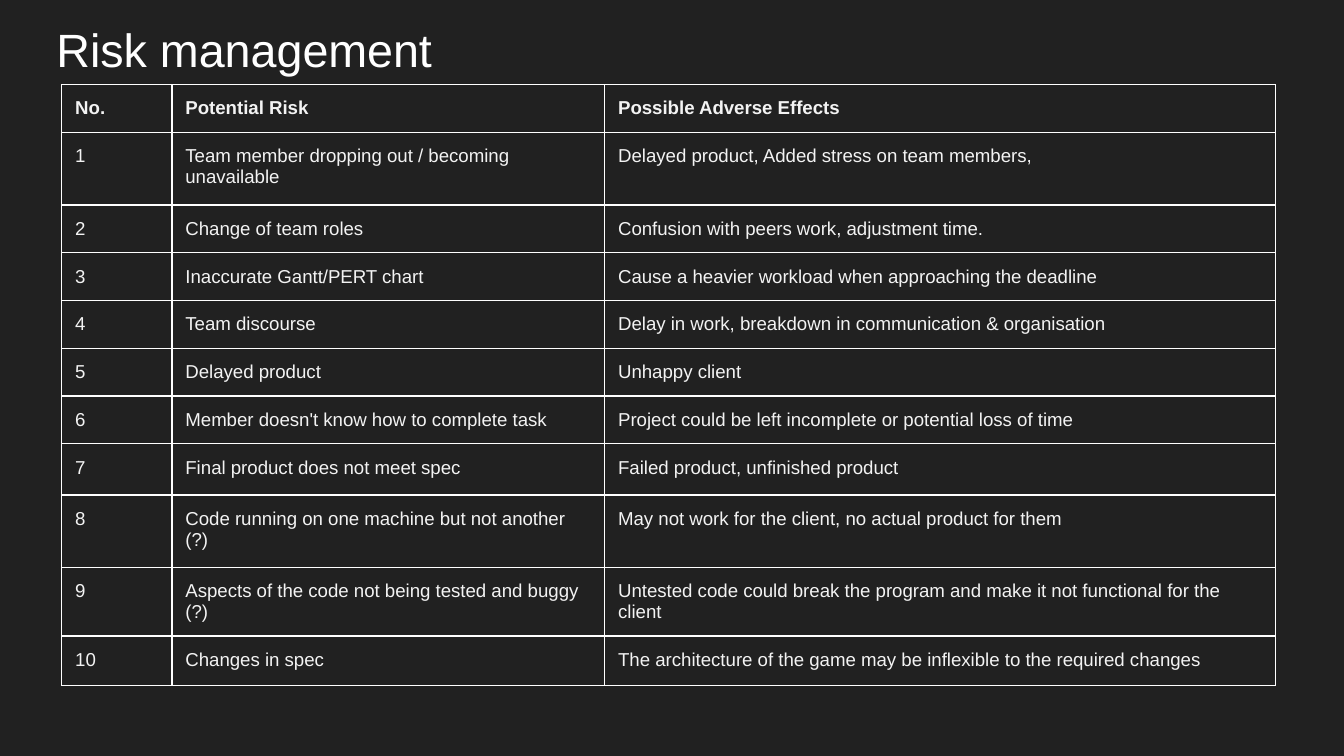
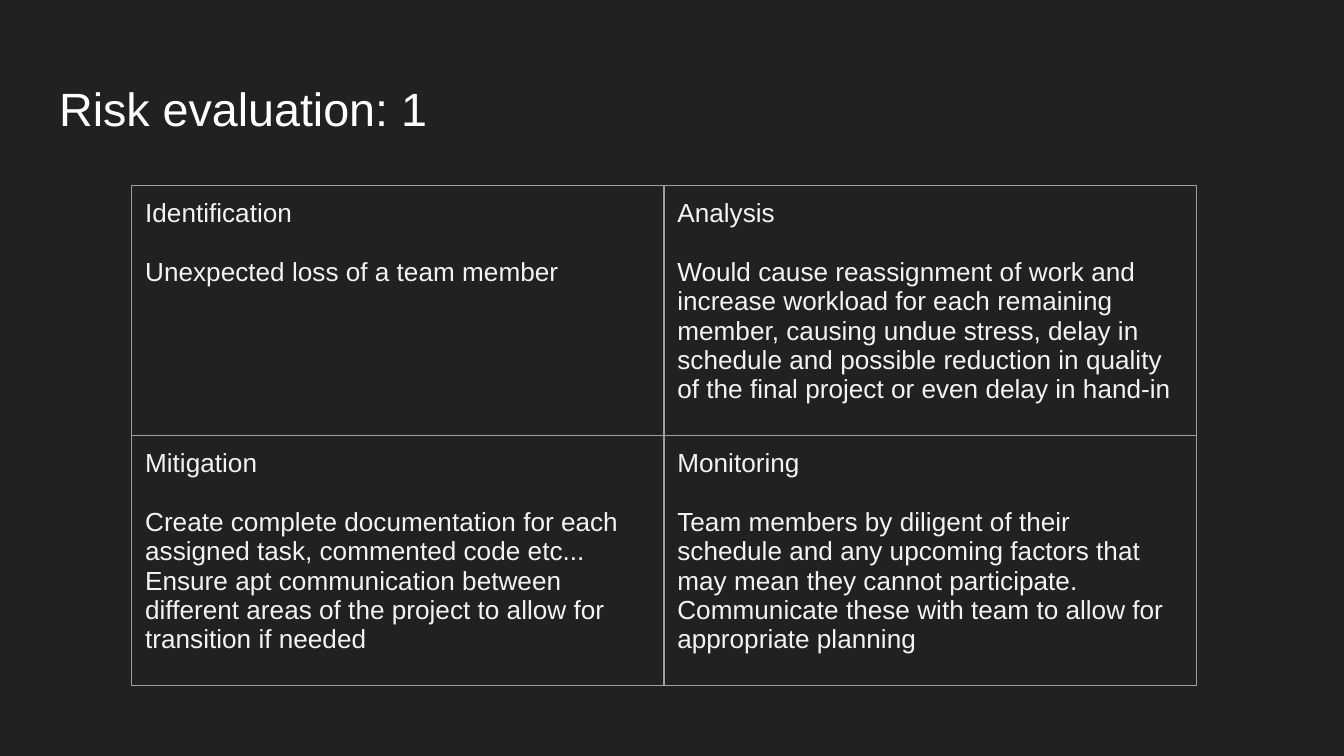
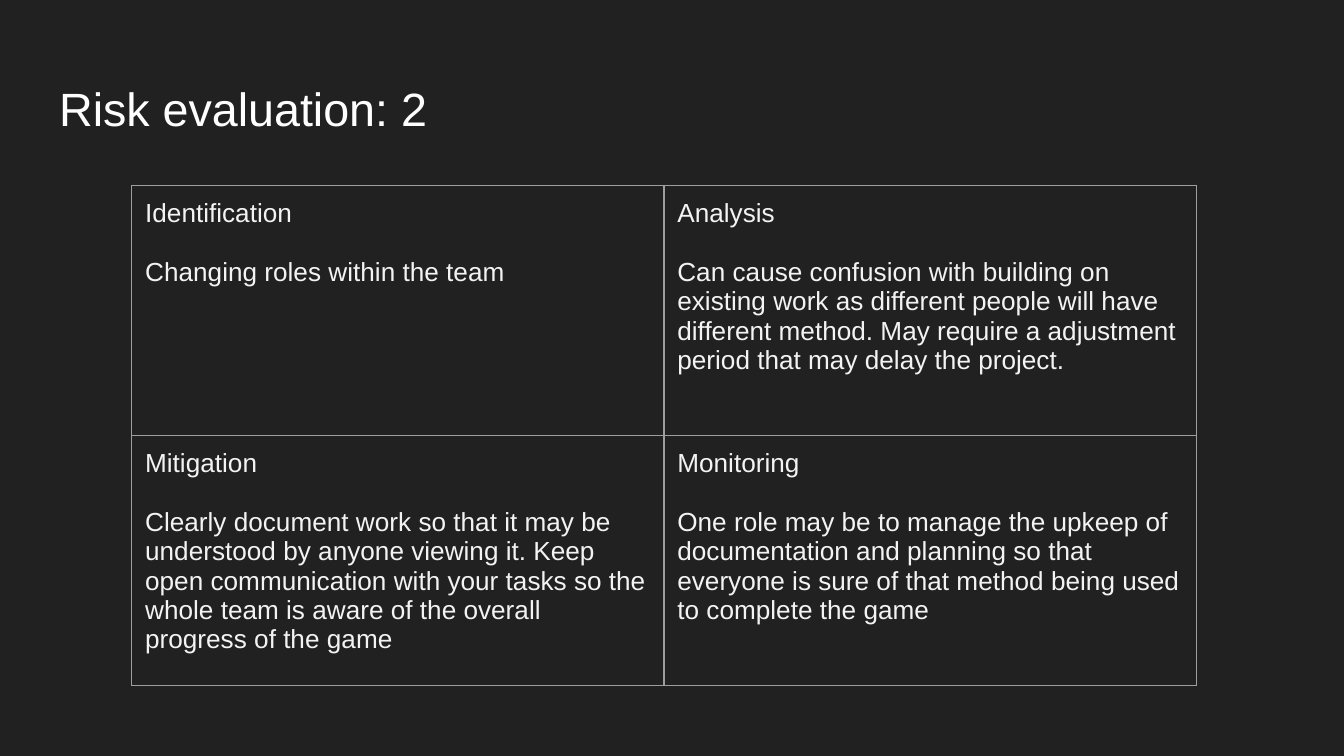
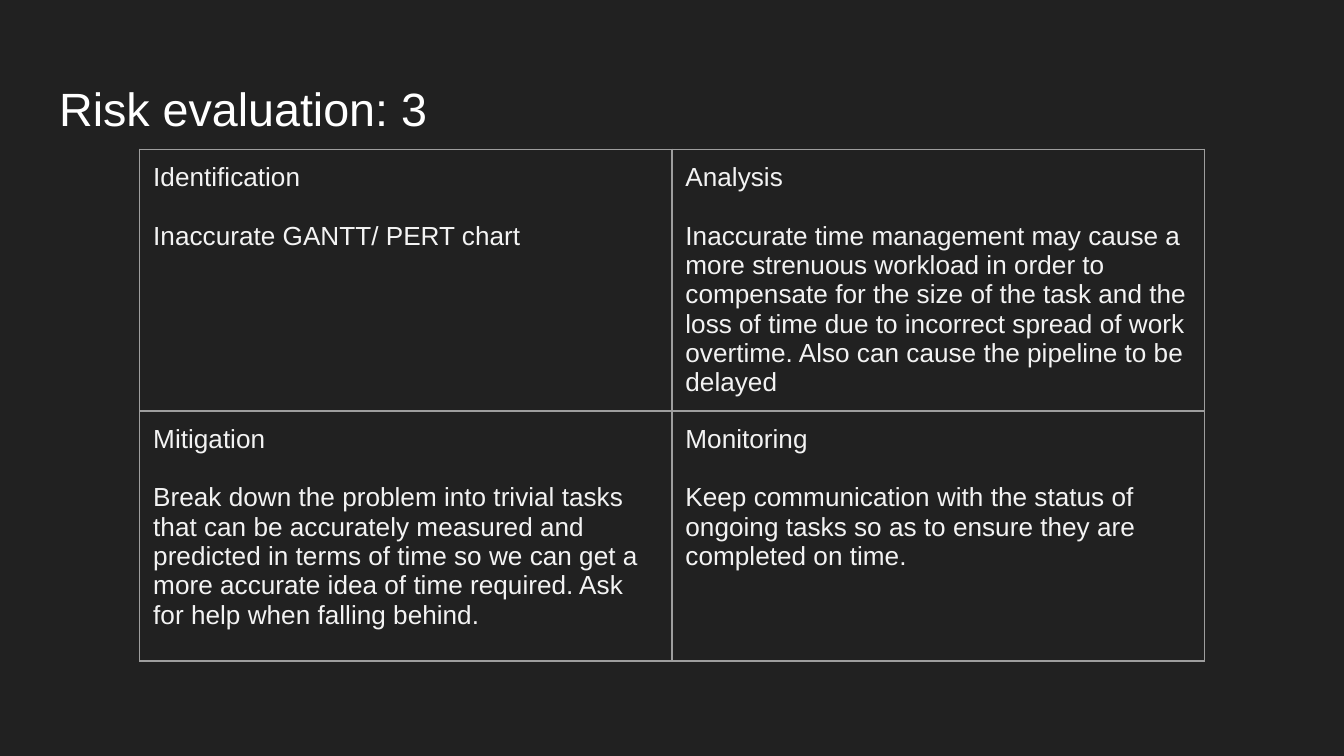
from dataclasses import dataclass

from lxml import etree
from pptx import Presentation
from pptx import util as u
from pptx.dml.color import RGBColor
from pptx.enum import text
from pptx.oxml import ns

# Shared style
SLIDE_WIDTH = u.Inches(10)
SLIDE_HEIGHT = u.Inches(10 * 9 / 16)
BACKDROP = "212121"
TITLE_COLOR = "FFFFFF"
BODY_COLOR = "F3F3F3"
REGISTER_LINE = "FFFFFF"
EVALUATION_LINE = "9E9E9E"
FONT = "Arial"
INSET = u.Inches(0.1)
BORDER = u.Pt(0.75)
TITLE_ONLY = 5
QUADRANTS = ("Identification", "Analysis", "Mitigation", "Monitoring")


@dataclass
class Grid:
    left: float
    top: float
    columns: list[float]
    rows: list[float]
    line: str
    size: int
    has_header: bool = False
    paragraph_gap: float = 0


@dataclass
class Evaluation:
    number: int
    notes: tuple[str, str, str, str]  # in the order of QUADRANTS
    left: float = 0.98
    top: float = 1.38


# Content
RISKS = [
    ("Team member dropping out / becoming unavailable",
     "Delayed product, Added stress on team members,"),
    ("Change of team roles", "Confusion with peers work, adjustment time."),
    ("Inaccurate Gantt/PERT chart",
     "Cause a heavier workload when approaching the deadline"),
    ("Team discourse",
     "Delay in work, breakdown in communication & organisation"),
    ("Delayed product", "Unhappy client"),
    ("Member doesn't know how to complete task",
     "Project could be left incomplete or potential loss of time"),
    ("Final product does not meet spec", "Failed product, unfinished product"),
    ("Code running on one machine but not another (?)",
     "May not work for the client, no actual product for them"),
    ("Aspects of the code not being tested and buggy (?)",
     "Untested code could break the program and make it not functional for "
     "the client"),
    ("Changes in spec",
     "The architecture of the game may be inflexible to the required changes"),
]

EVALUATIONS = [
    Evaluation(1, (
        "Unexpected loss of a team member",
        "Would cause reassignment of work and increase workload for each "
        "remaining member, causing undue stress, delay in schedule and "
        "possible reduction in quality of the final project or even delay in "
        "hand-in",
        "Create complete documentation for each assigned task, commented code "
        "etc... Ensure apt communication between different areas of the "
        "project to allow for transition if needed",
        "Team members by diligent of their schedule and any upcoming factors "
        "that may mean they cannot participate. Communicate these with team "
        "to allow for appropriate planning",
    )),
    Evaluation(2, (
        "Changing roles within the team",
        "Can cause confusion with building on existing work as different "
        "people will have different method. May require a adjustment period "
        "that may delay the project.",
        "Clearly document work so that it may be understood by anyone viewing "
        "it. Keep open communication with your tasks so the whole team is "
        "aware of the overall progress of the game",
        "One role may be to manage the upkeep of documentation and planning "
        "so that everyone is sure of that method being used to complete the "
        "game",
    )),
    Evaluation(3, (
        "Inaccurate GANTT/ PERT chart",
        "Inaccurate time management may cause a more strenuous workload in "
        "order to compensate for the size of the task and the loss of time "
        "due to incorrect spread of work overtime. Also can cause the "
        "pipeline to be delayed",
        "Break down the problem into trivial tasks that can be accurately "
        "measured and predicted in terms of time so we can get a more "
        "accurate idea of time required. Ask for help when falling behind.",
        "Keep communication with the status of ongoing tasks so as to ensure "
        "they are completed on time.",
    ), left=1.04, top=1.11),
]


# Drawing helpers
def rgb(value: str) -> RGBColor:
    return RGBColor.from_string(value)


def style_font(paragraph, size: float, color: str, bold: bool = False) -> None:
    font = paragraph.font
    font.name, font.size, font.bold = FONT, u.Pt(size), bold
    font.color.rgb = rgb(color)


def set_insets(holder) -> None:
    holder.margin_left = holder.margin_right = INSET
    holder.margin_top = holder.margin_bottom = INSET


def add_titled_slide(prs, title: str, left: float, top: float):
    slide = prs.slides.add_slide(prs.slide_layouts[TITLE_ONLY])
    heading = slide.shapes.title
    heading.left, heading.top = u.Inches(left), u.Inches(top)
    heading.width, heading.height = u.Inches(9.32), u.Inches(0.63)
    frame = heading.text_frame
    frame.text = title
    frame.word_wrap = True
    frame.auto_size = text.MSO_AUTO_SIZE.NONE
    frame.vertical_anchor = text.MSO_ANCHOR.MIDDLE
    set_insets(frame)
    frame.paragraphs[0].alignment = text.PP_ALIGN.LEFT
    style_font(frame.paragraphs[0], 25, TITLE_COLOR)
    return slide


def add_borders(cell, color: str) -> None:
    properties = cell._tc.get_or_add_tcPr()
    for side in ("a:lnL", "a:lnR", "a:lnT", "a:lnB"):
        line = etree.SubElement(properties, ns.qn(side), w=str(int(BORDER)))
        fill = etree.SubElement(line, ns.qn("a:solidFill"))
        etree.SubElement(fill, ns.qn("a:srgbClr"), val=color)


def add_grid(slide, grid: Grid, content: list[list[str]]) -> None:
    table = slide.shapes.add_table(
        len(grid.rows), len(grid.columns),
        u.Inches(grid.left), u.Inches(grid.top),
        u.Inches(sum(grid.columns)), u.Inches(sum(grid.rows))).table
    table.first_row, table.horz_banding = grid.has_header, False
    for column, width in zip(table.columns, grid.columns):
        column.width = u.Inches(width)
    for r, (row, height) in enumerate(zip(table.rows, grid.rows)):
        row.height = u.Inches(height)
        for cell, words in zip(row.cells, content[r]):
            cell.text = words
            set_insets(cell)
            add_borders(cell, grid.line)
            cell.fill.background()
            paragraphs = cell.text_frame.paragraphs
            for paragraph in paragraphs:
                style_font(paragraph, grid.size, BODY_COLOR,
                           bold=grid.has_header and r == 0)
            for paragraph in paragraphs[:-1]:
                paragraph.space_after = u.Pt(grid.paragraph_gap)


# Slides
def add_risk_register(prs) -> None:
    slide = add_titled_slide(prs, "Risk management", 0.32, 0.05)
    content = [["No.", "Potential Risk", "Possible Adverse Effects"]]
    content += [[str(n), *risk] for n, risk in enumerate(RISKS, 1)]
    heights = [0.33, 0.54] + [0.35] * 5 + [0.38, 0.54, 0.37, 0.37]
    add_grid(slide, Grid(0.46, 0.63, [0.82, 3.22, 4.99], heights,
                         REGISTER_LINE, 10, has_header=True), content)


def add_evaluation(prs, evaluation: Evaluation) -> None:
    slide = add_titled_slide(
        prs, f"Risk evaluation: {evaluation.number}", 0.34, 0.49)
    cells = [f"{heading}\n{note}"
             for heading, note in zip(QUADRANTS, evaluation.notes)]
    grid = Grid(evaluation.left, evaluation.top, [3.96] * 2, [1.86] * 2,
                EVALUATION_LINE, 14, paragraph_gap=15.7)
    add_grid(slide, grid, [cells[:2], cells[2:]])


def main() -> None:
    prs = Presentation()
    prs.slide_width, prs.slide_height = SLIDE_WIDTH, SLIDE_HEIGHT
    backdrop = prs.slide_master.background.fill
    backdrop.solid()
    backdrop.fore_color.rgb = rgb(BACKDROP)
    add_risk_register(prs)
    for evaluation in EVALUATIONS:
        add_evaluation(prs, evaluation)
    prs.save("out.pptx")


if __name__ == "__main__":
    main()
